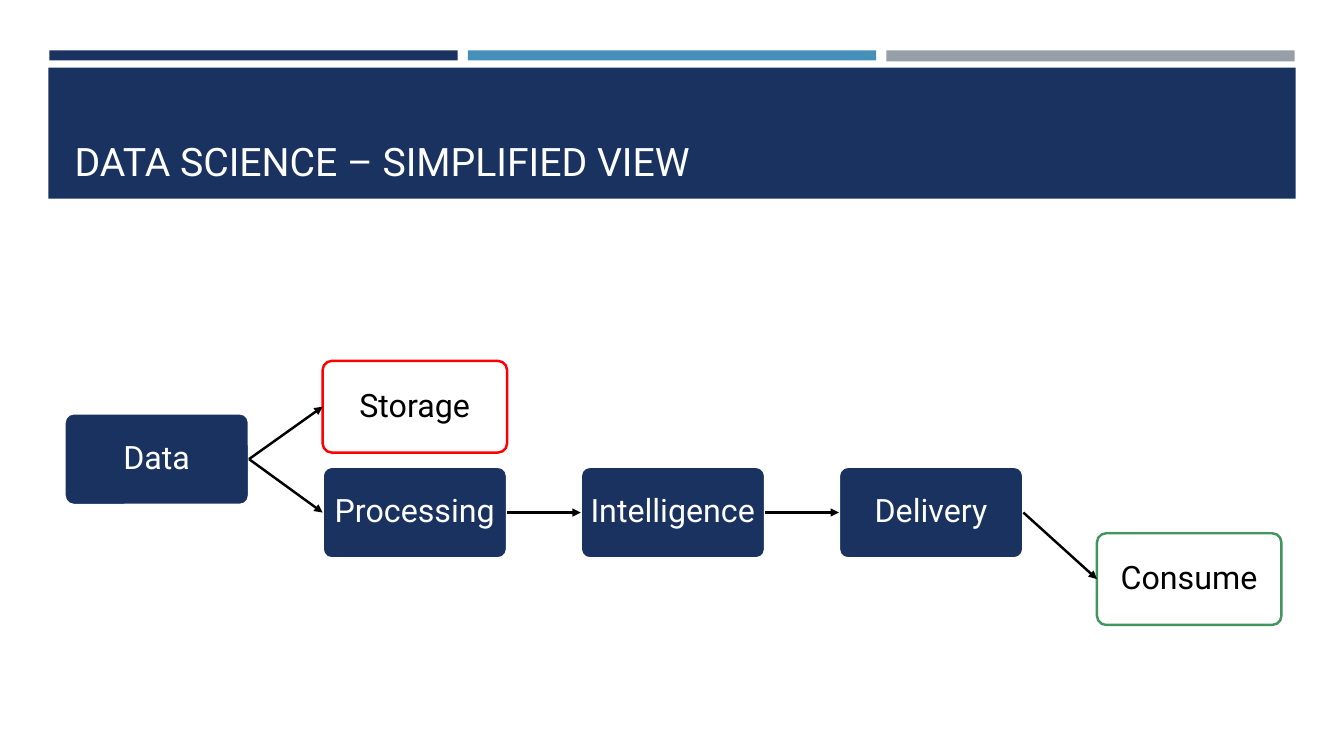
import pptx
import pptx.util
import pptx.dml.color
import pptx.enum.shapes
import pptx.enum.text
import pptx.oxml
import pptx.oxml.ns

PX = 9144
FONT = "Roboto"
NAVY, BLUE, GREY = "1A3260", "4590B8", "969FA7"
WHITE, BLACK, RED, GREEN = "FFFFFF", "000000", "FF0000", "42955F"
LINE_WIDTH = 1.75
STEP_WIDTH, STEP_HEIGHT = 183, 91
FIRST_LEFT, STEP_PITCH = 64, 256

BANDS = [
    (49, 50, 405, 10, NAVY),
    (879, 50, 405, 11, GREY),
    (464, 50, 405, 10, BLUE),
    (48, 67, 1237, 130, NAVY),
]
STEPS = [
    ("Data", 0, 410, NAVY, WHITE, WHITE),
    ("Storage", 1, 358, WHITE, RED, BLACK),
    ("Processing", 1, 463, NAVY, WHITE, WHITE),
    ("Intelligence", 2, 463, NAVY, WHITE, WHITE),
    ("Delivery", 3, 463, NAVY, WHITE, WHITE),
    ("Consume", 4, 529, WHITE, GREEN, BLACK),
]
FLOWS = [
    ("Data", "Storage"),
    ("Data", "Processing"),
    ("Processing", "Intelligence"),
    ("Intelligence", "Delivery"),
    ("Delivery", "Consume"),
]


def px(*lengths):
    """Turn pixel lengths into EMU."""
    return [pptx.util.Emu(length * PX) for length in lengths]


def color(value):
    """Turn a hex string into a colour."""
    return pptx.dml.color.RGBColor.from_string(value)


def apply(target, values):
    """Set attributes of an object from a dict."""
    for name, value in values.items():
        setattr(target, name, value)


def write(box, text, size, ink, frame_format, para_format):
    """Put one formatted paragraph into a shape."""
    frame = box.text_frame
    apply(frame, frame_format)
    para = frame.paragraphs[0]
    apply(para, para_format)
    span = para.add_run()
    span.text = text
    apply(span.font, {"name": FONT, "size": pptx.util.Pt(size)})
    span.font.color.rgb = color(ink)


def add_box(page, kind, place, fill):
    """Add a filled shape without outline or shadow."""
    box = page.shapes.add_shape(kind, *px(*place))
    box.shadow.inherit = False
    box.fill.solid()
    box.fill.fore_color.rgb = color(fill)
    box.line.fill.background()
    return box


def add_step(page, text, column, top, fill, outline, ink):
    """Add one rounded step of the flow."""
    place = (FIRST_LEFT + column * STEP_PITCH, top, STEP_WIDTH, STEP_HEIGHT)
    box = add_box(page, pptx.enum.shapes.MSO_SHAPE.ROUNDED_RECTANGLE, place, fill)
    box.adjustments[0] = 0.1
    box.line.color.rgb = color(outline)
    box.line.width = pptx.util.Pt(LINE_WIDTH)
    margin = px(2)[0]
    frame_format = {
        "word_wrap": True,
        "vertical_anchor": pptx.enum.text.MSO_ANCHOR.MIDDLE,
        "margin_left": margin,
        "margin_right": margin,
        "margin_top": margin,
        "margin_bottom": margin,
    }
    para_format = {"alignment": pptx.enum.text.PP_ALIGN.CENTER, "line_spacing": 0.9}
    write(box, text, 23, ink, frame_format, para_format)
    return box


def add_arrow(page, source, target):
    """Join the right side of one step to the left side of another."""
    arrow = page.shapes.add_connector(pptx.enum.shapes.MSO_CONNECTOR.STRAIGHT, 0, 0, 0, 0)
    arrow.begin_connect(source, 3)
    arrow.end_connect(target, 1)
    arrow.line.color.rgb = color(BLACK)
    arrow.line.width = pptx.util.Pt(LINE_WIDTH)
    head = pptx.oxml.parse_xml(
        f'<a:tailEnd {pptx.oxml.ns.nsdecls("a")} type="triangle"/>'
    )
    arrow.line._get_or_add_ln().append(head)
    effects = pptx.oxml.parse_xml(f'<a:effectLst {pptx.oxml.ns.nsdecls("a")}/>')
    arrow.element.spPr.append(effects)


def add_title(page, text):
    """Place and format the title in front of its band."""
    title = page.shapes.title
    left, top, width, height = px(64, 77, 1206, 111)
    apply(title, {"left": left, "top": top, "width": width, "height": height})
    frame_format = {
        "word_wrap": True,
        "auto_size": pptx.enum.text.MSO_AUTO_SIZE.NONE,
        "vertical_anchor": pptx.enum.text.MSO_ANCHOR.BOTTOM,
    }
    para_format = {"alignment": pptx.enum.text.PP_ALIGN.LEFT}
    write(title, text, 28, WHITE, frame_format, para_format)
    page.shapes.element.append(title.element)


def main():
    """Build the slide and save it."""
    deck = pptx.Presentation()
    width, height = px(1333, 750)
    apply(deck, {"slide_width": width, "slide_height": height})
    page = deck.slides.add_slide(deck.slide_layouts.get_by_name("Title Only"))
    for *place, fill in BANDS:
        add_box(page, pptx.enum.shapes.MSO_SHAPE.RECTANGLE, place, fill)
    add_title(page, "DATA SCIENCE – SIMPLIFIED VIEW")
    steps = {step[0]: add_step(page, *step) for step in STEPS}
    for source, target in FLOWS:
        add_arrow(page, steps[source], steps[target])
    deck.save("out.pptx")


if __name__ == "__main__":
    main()
